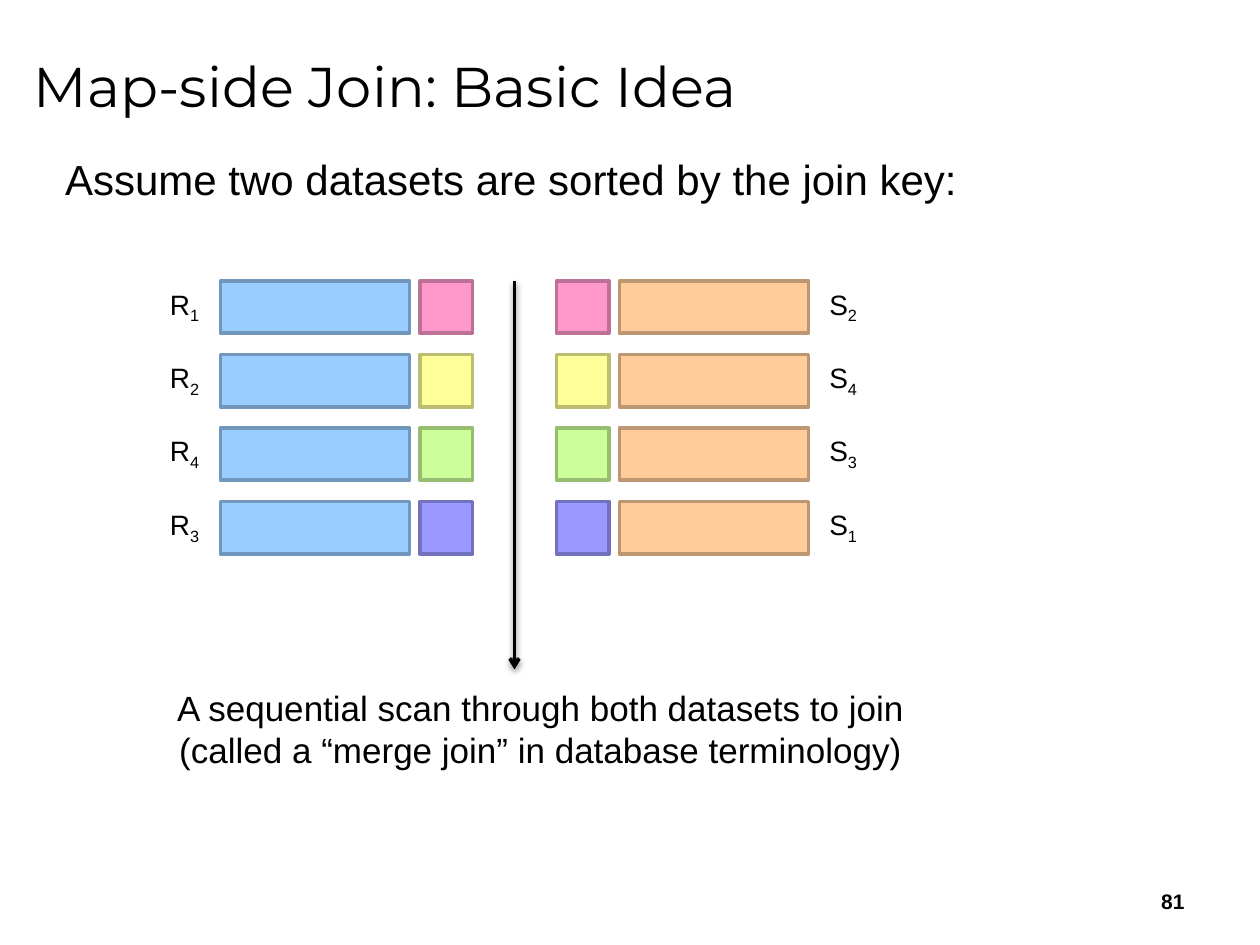
from dataclasses import dataclass

from lxml.etree import SubElement
from pptx import Presentation
from pptx.dml.color import RGBColor
from pptx.enum.shapes import MSO_CONNECTOR as Connector, MSO_SHAPE as Preset
from pptx.enum.text import MSO_ANCHOR as Anchor, MSO_AUTO_SIZE as AutoSize, PP_ALIGN as Align
from pptx.oxml.ns import qn
from pptx.util import Inches, Pt

COLUMNS, ROWS = 120, 90
WIDTH, HEIGHT = Inches(10), Inches(7.5)

BLACK = RGBColor(0x00, 0x00, 0x00)
BLUE, BLUE_EDGE = RGBColor(0x99, 0xCC, 0xFF), RGBColor(0x71, 0x97, 0xBD)
ORANGE, ORANGE_EDGE = RGBColor(0xFF, 0xCC, 0x99), RGBColor(0xBD, 0x97, 0x71)
PINK, PINK_EDGE = RGBColor(0xFF, 0x99, 0xCC), RGBColor(0xBD, 0x71, 0x97)
YELLOW, YELLOW_EDGE = RGBColor(0xFF, 0xFF, 0x99), RGBColor(0xBD, 0xBD, 0x71)
GREEN, GREEN_EDGE = RGBColor(0xCC, 0xFF, 0x99), RGBColor(0x97, 0xBD, 0x71)
VIOLET, VIOLET_EDGE = RGBColor(0x99, 0x99, 0xFF), RGBColor(0x71, 0x71, 0xBD)

FIRST_ROW, ROW_STEP = 26.75, 7
KEY_SIZE, VALUE_WIDTH = 5, 18


@dataclass(frozen=True)
class Paint:
    fill: RGBColor
    edge: RGBColor


@dataclass(frozen=True)
class Dataset:
    letter: str
    indices: tuple[int, ...]
    paint: Paint
    label_column: float
    label_width: float
    value_column: float
    key_column: float


KEYS = (
    Paint(PINK, PINK_EDGE),
    Paint(YELLOW, YELLOW_EDGE),
    Paint(GREEN, GREEN_EDGE),
    Paint(VIOLET, VIOLET_EDGE),
)
DATASETS = (
    Dataset("R", (1, 2, 4, 3), Paint(BLUE, BLUE_EDGE), 15, 5.4, 21, 40),
    Dataset("S", (2, 4, 3, 1), Paint(ORANGE, ORANGE_EDGE), 77.8, 5.2, 59, 53),
)


def grid(column: float, row: float, width: float, height: float) -> tuple[int, ...]:
    return (
        round(WIDTH * column / COLUMNS),
        round(HEIGHT * row / ROWS),
        round(WIDTH * width / COLUMNS),
        round(HEIGHT * height / ROWS),
    )


def write(box, text: str, *, size: float, font: str = "Arial", bold: bool = False,
          subscript: str = "", align=Align.LEFT, anchor=Anchor.TOP,
          wrap: bool = True, fit=AutoSize.NONE) -> None:
    frame = box.text_frame
    frame.word_wrap, frame.auto_size, frame.vertical_anchor = wrap, fit, anchor
    para = frame.paragraphs[0]
    para.alignment = align
    para.space_before = Pt(0)

    def add_span(words: str):
        span = para.add_run()
        span.text = words
        span.font.name, span.font.size, span.font.bold = font, Pt(size), bold
        span.font.color.rgb = BLACK
        return span

    for number, line in enumerate(text.split("\n")):
        if number:
            para.add_line_break()
        add_span(line)
    if subscript:
        add_span(subscript)._r.get_or_add_rPr().set("baseline", "-25000")


def place(box, area: tuple[int, ...]) -> None:
    box.left, box.top, box.width, box.height = area


def draw_block(shapes, area: tuple[int, ...], paint: Paint) -> None:
    block = shapes.add_shape(Preset.RECTANGLE, *area)
    block.shadow.inherit = False
    block.fill.solid()
    block.fill.fore_color.rgb = paint.fill
    block.line.color.rgb = paint.edge
    block.line.width = Pt(2)


def draw_record(page, dataset: Dataset, position: int) -> None:
    row = FIRST_ROW + position * ROW_STEP
    record = page.shapes.add_group_shape().shapes
    draw_block(record, grid(dataset.value_column, row, VALUE_WIDTH, KEY_SIZE), dataset.paint)
    label = record.add_textbox(*grid(dataset.label_column, row, dataset.label_width, 4.44))
    write(label, dataset.letter, size=16, subscript=str(dataset.indices[position]),
          wrap=False, fit=AutoSize.SHAPE_TO_FIT_TEXT)
    draw_block(record, grid(dataset.key_column, row, KEY_SIZE, KEY_SIZE), KEYS[position])


def draw_scan_arrow(page, column: float, top: float, length: float) -> None:
    left, start, _, drop = grid(column, top, 0, length)
    arrow = page.shapes.add_connector(Connector.STRAIGHT, left, start, left, start + drop)
    arrow.line.color.rgb = BLACK
    arrow.line.width = Pt(2)
    SubElement(arrow.line._get_or_add_ln(), qn("a:tailEnd"), type="arrow")
    effects = SubElement(arrow._element.spPr, qn("a:effectLst"))
    shadow = SubElement(effects, qn("a:outerShdw"), blurRad=str(Pt(3.1)),
                        dist=str(Pt(1.6)), dir="5400000", rotWithShape="0")
    color = SubElement(shadow, qn("a:srgbClr"), val=str(BLACK))
    SubElement(color, qn("a:alpha"), val="38000")


def main() -> None:
    deck = Presentation()
    deck.slide_width, deck.slide_height = WIDTH, HEIGHT
    page = deck.slides.add_slide(deck.slide_layouts[1])

    title, body = page.placeholders
    place(title, grid(2, 1.4, 114, 13.4))
    write(title, "Map-side Join: Basic Idea", size=32, font="Montserrat", anchor=Anchor.MIDDLE)

    place(body, grid(5, 14, 111, 67))
    properties = body.text_frame.paragraphs[0]._p.get_or_add_pPr()
    properties.set("marL", str(Inches(0.37)))
    properties.set("indent", str(Inches(-0.37)))
    SubElement(properties, qn("a:buNone"))
    write(body, "Assume two datasets are sorted by the join key:", size=24)

    for dataset in DATASETS:
        for position in range(len(KEYS)):
            draw_record(page, dataset, position)

    draw_scan_arrow(page, 49, FIRST_ROW, 37)

    caption = page.shapes.add_textbox(*grid(14, 64.8, 75, 9.24))
    write(caption, "A sequential scan through both datasets to join\n"
          "(called a “merge join” in database terminology)",
          size=20, align=Align.CENTER, fit=AutoSize.SHAPE_TO_FIT_TEXT)

    number = page.shapes.add_textbox(*grid(86, 83.4, 28, 4.8))
    write(number, "81", size=12, bold=True, align=Align.RIGHT, anchor=Anchor.MIDDLE)

    deck.save("out.pptx")


if __name__ == "__main__":
    main()
